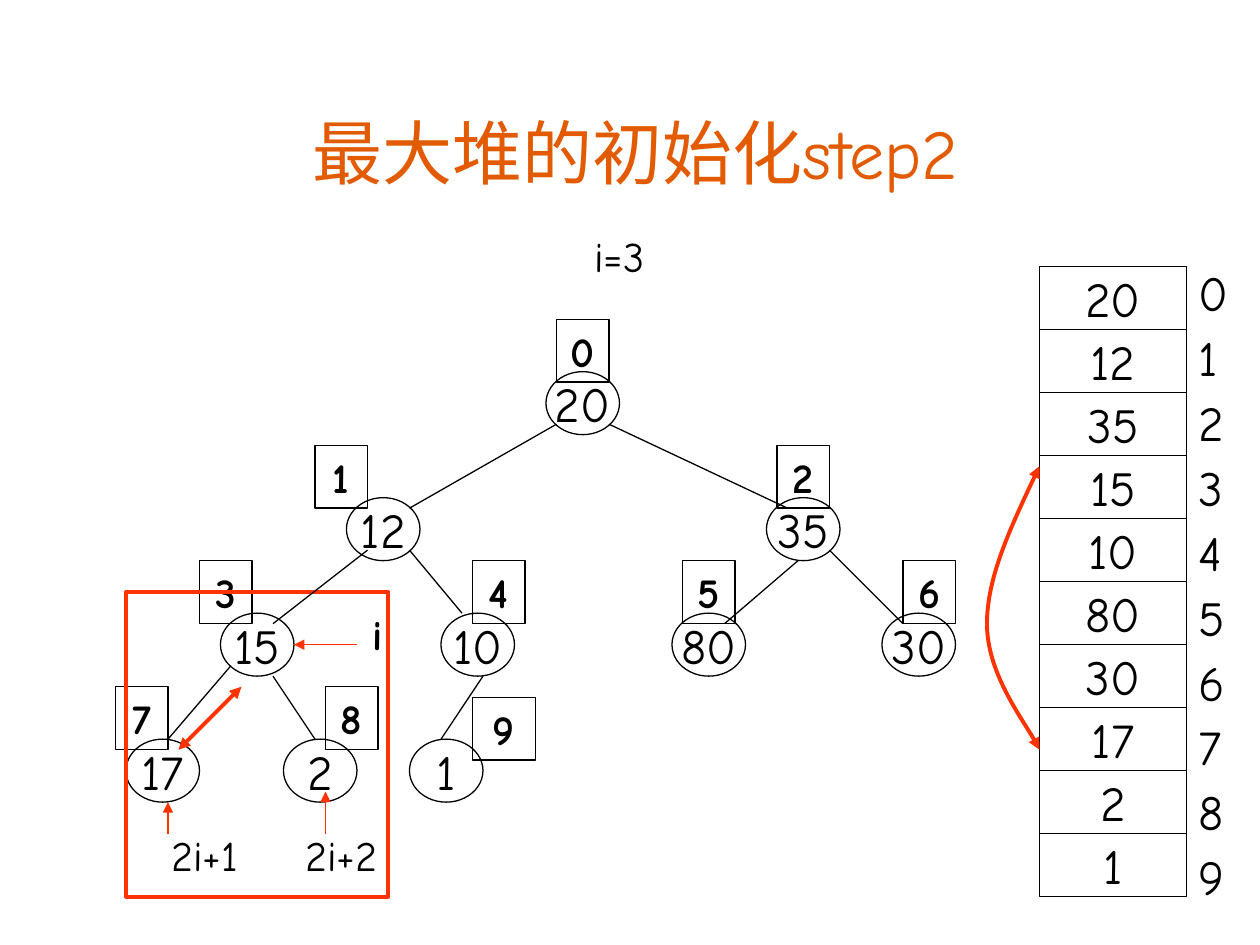
from lxml import etree
from pptx import Presentation
from pptx.dml.color import RGBColor
from pptx.enum.shapes import MSO_CONNECTOR, MSO_SHAPE
from pptx.enum.text import MSO_ANCHOR, PP_ALIGN
from pptx.oxml.ns import qn
from pptx.util import Inches, Pt

CIRCLE, CELL = MSO_SHAPE.FLOWCHART_CONNECTOR, MSO_SHAPE.FLOWCHART_PROCESS
RECTANGLE, STRAIGHT = MSO_SHAPE.RECTANGLE, MSO_CONNECTOR.STRAIGHT
TOP, MIDDLE, BOTTOM = MSO_ANCHOR.TOP, MSO_ANCHOR.MIDDLE, MSO_ANCHOR.BOTTOM
CENTER = PP_ALIGN.CENTER

THEME = {
    "latin": "Comic Neue", "cjk": "Noto Sans CJK SC",
    "title": "E25B00", "ink": "000000", "accent": "FF3300",
    "title_size": 40, "value_size": 28, "label_size": 24,
    "thin": 0.75, "thick": 2.25,
}

prs = Presentation()
prs.slide_width, prs.slide_height = Inches(10), Inches(7.5)
COL = prs.slide_width // 120
ROW = prs.slide_height // 90
GRID_TOP = round(0.4 * ROW)

slide = prs.slides.add_slide(prs.slide_layouts[5])
shapes = slide.shapes


def write(frame, text, size=THEME["label_size"], color=THEME["ink"],
          bold=False, anchor=TOP, wrap=True, gap=0):
    """Fill a frame with one centred paragraph per line of text."""
    frame.word_wrap, frame.vertical_anchor = wrap, anchor
    for number, line in enumerate(text.split("\n")):
        paragraph = frame.add_paragraph() if number else frame.paragraphs[0]
        paragraph.alignment = CENTER
        paragraph.space_before = Pt(gap if number else 0)
        run = paragraph.add_run()
        run.text = line
        run.font.size, run.font.bold = Pt(size), bold
        run.font.color.rgb = RGBColor.from_string(color)
        run.font.name = THEME["latin"]
        east_asian = etree.SubElement(run.font._element, qn("a:ea"))
        east_asian.set("typeface", THEME["cjk"])


def outline(shape, color=THEME["ink"], width=THEME["thin"], ends=()):
    """Set a shadowless line, with a triangle at each of the named ends."""
    shape.line.color.rgb = RGBColor.from_string(color)
    shape.line.width = Pt(width)
    for end in ends:
        etree.SubElement(shape.line._ln, qn(f"a:{end}")).set("type", "triangle")
    etree.SubElement(shape._element.spPr, qn("a:effectLst"))


title = shapes.title
title.left, title.top = 9 * COL, 9 * ROW
title.width, title.height = 103 * COL, 10 * ROW
write(title.text_frame, "最大堆的初始化step2", size=THEME["title_size"],
      color=THEME["title"], anchor=BOTTOM)

# Heap in array order: value, node column and row, index column, row and width
heap = [
    (20, 52, 35, 53, 30, 5),
    (12, 33, 47, 30, 42, 5), (35, 73, 47, 74, 42, 5),
    (15, 21, 58, 19, 53, 5), (10, 42, 58, 45, 53, 5),
    (80, 64, 58, 65, 53, 5), (30, 84, 58, 86, 53, 5),
    (17, 12, 70, 11, 65, 5), (2, 27, 70, 31, 65, 5), (1, 39, 70, 45, 66, 6),
]
value_format = {"size": THEME["value_size"], "anchor": MIDDLE, "wrap": False}
boxes = []
for index, (value, col, row, index_col, index_row, index_width) in enumerate(heap):
    boxes += [
        (CIRCLE, col, row, 7, value, value_format),
        (RECTANGLE, index_col, index_row, index_width, index, {"bold": True}),
        (CELL, 99, 25 + 6 * index, 14, value, value_format),
    ]
for kind, col, row, width, content, text_format in boxes:
    box = shapes.add_shape(kind, col * COL, GRID_TOP + row * ROW, width * COL, 6 * ROW)
    box.fill.background()
    outline(box)
    write(box.text_frame, str(content), **text_format)

subtree = shapes.add_shape(RECTANGLE, 12 * COL, GRID_TOP + 56 * ROW, 25 * COL, 29 * ROW)
subtree.fill.background()
outline(subtree, THEME["accent"], THEME["thick"])

array_indices = "\n".join(str(index) for index in range(len(heap)))
for text, col, row, width, height, text_format in [
    ("i=3", 6, 21, 106, 6, {}),
    ("i", 33, 57, 6, 6, {"bold": True}),
    ("2i+1", 14, 78, 11, 6, {}),
    ("2i+2", 27, 78, 11, 6, {}),
    (array_indices, 113, 24, 4.2, 62.5, {"size": THEME["value_size"], "gap": 3.5}),
]:
    label = shapes.add_textbox(col * COL, GRID_TOP + row * ROW,
                               round(width * COL), round(height * ROW))
    write(label.text_frame, text, **text_format)

edge = {}
pointer = {"color": THEME["accent"], "ends": ["tailEnd"]}
swap = {"color": THEME["accent"], "width": THEME["thick"], "ends": ["headEnd", "tailEnd"]}
for x1, y1, x2, y2, line_format in [
    (53, 40, 39, 48, edge), (58, 40, 75, 48, edge),
    (35, 52, 26, 59, edge), (39, 52, 44, 58, edge),
    (76, 53, 69, 59, edge), (79, 52, 86, 59, edge),
    (22, 63, 16, 70, edge), (26, 64, 30, 70, edge), (46, 64, 42, 70, edge),
    (34, 61, 28, 61, pointer), (16, 79, 16, 76, pointer), (31, 79, 31, 75, pointer),
    (17, 71, 23, 65, swap),
]:
    link = shapes.add_connector(STRAIGHT, x1 * COL, GRID_TOP + y1 * ROW,
                                x2 * COL, GRID_TOP + y2 * ROW)
    outline(link, **line_format)

# Swap in the array: a start, then two Bézier segments of three points each
start, *controls = [
    (round(col * COL), GRID_TOP + round(row * ROW))
    for col, row in [(99, 44), (96.5, 49.3), (94, 54.6), (94, 59),
                     (94, 63.6), (98.2, 69.2), (99, 71)]
]
builder = shapes.build_freeform(*start)
builder.add_line_segments(controls, close=False)
array_swap = builder.convert_to_shape()
array_swap.fill.background()
outline(array_swap, **swap)
segments = list(array_swap._element.iter(qn("a:lnTo")))
route = segments[0].getparent()
for first in range(0, len(segments), 3):
    curve = etree.SubElement(route, qn("a:cubicBezTo"))
    for segment in segments[first:first + 3]:
        curve.append(segment[0])
        route.remove(segment)

prs.save("out.pptx")
